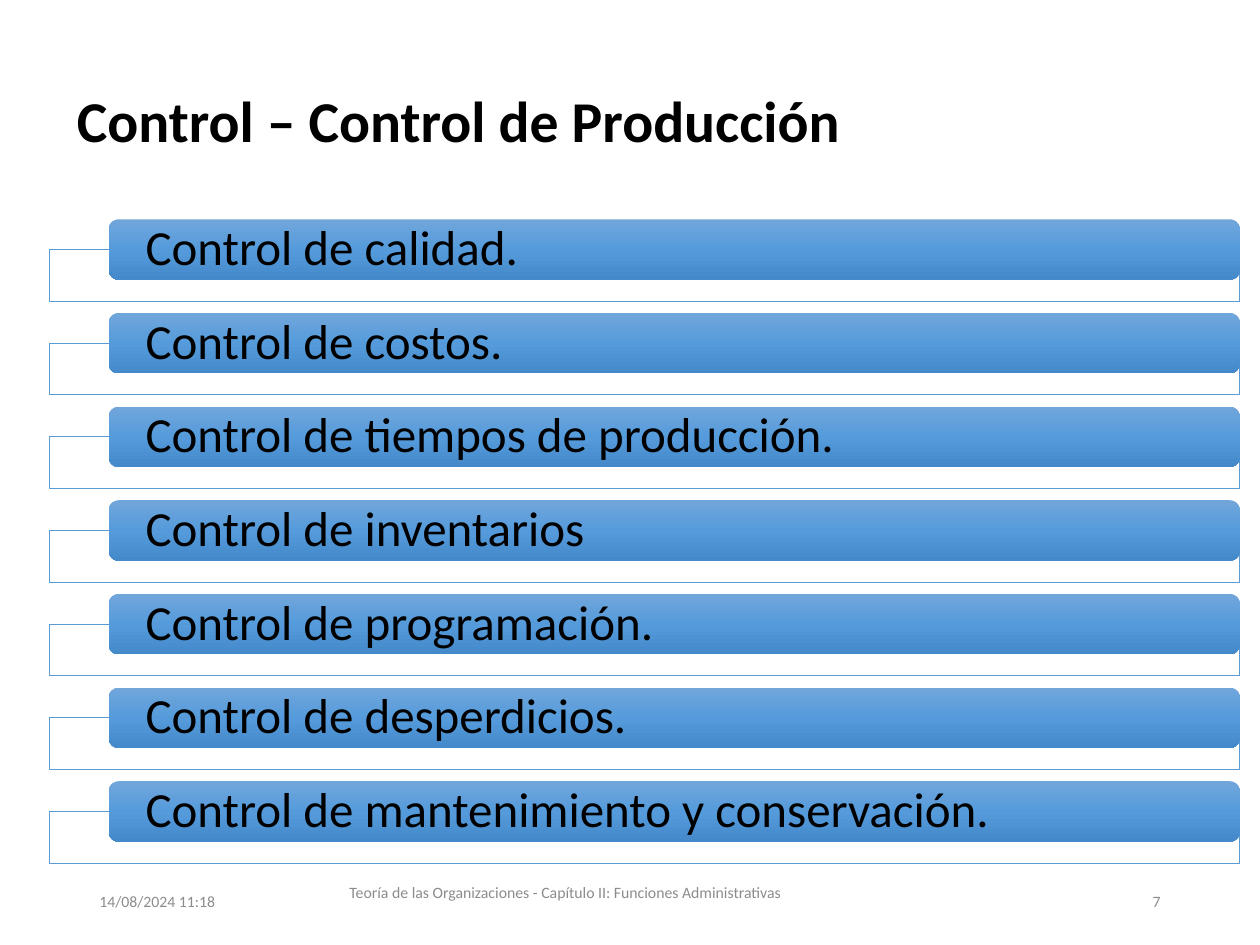
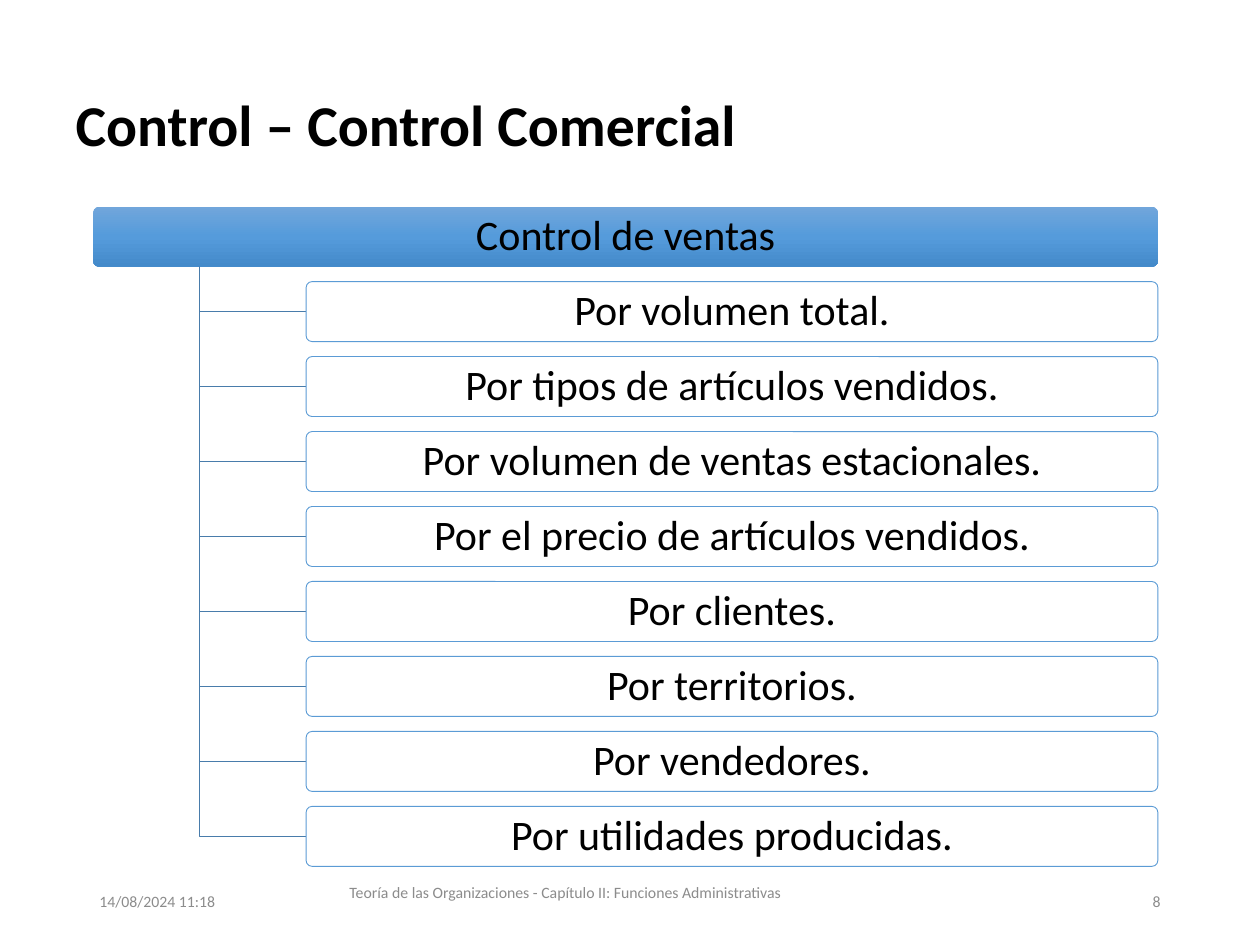
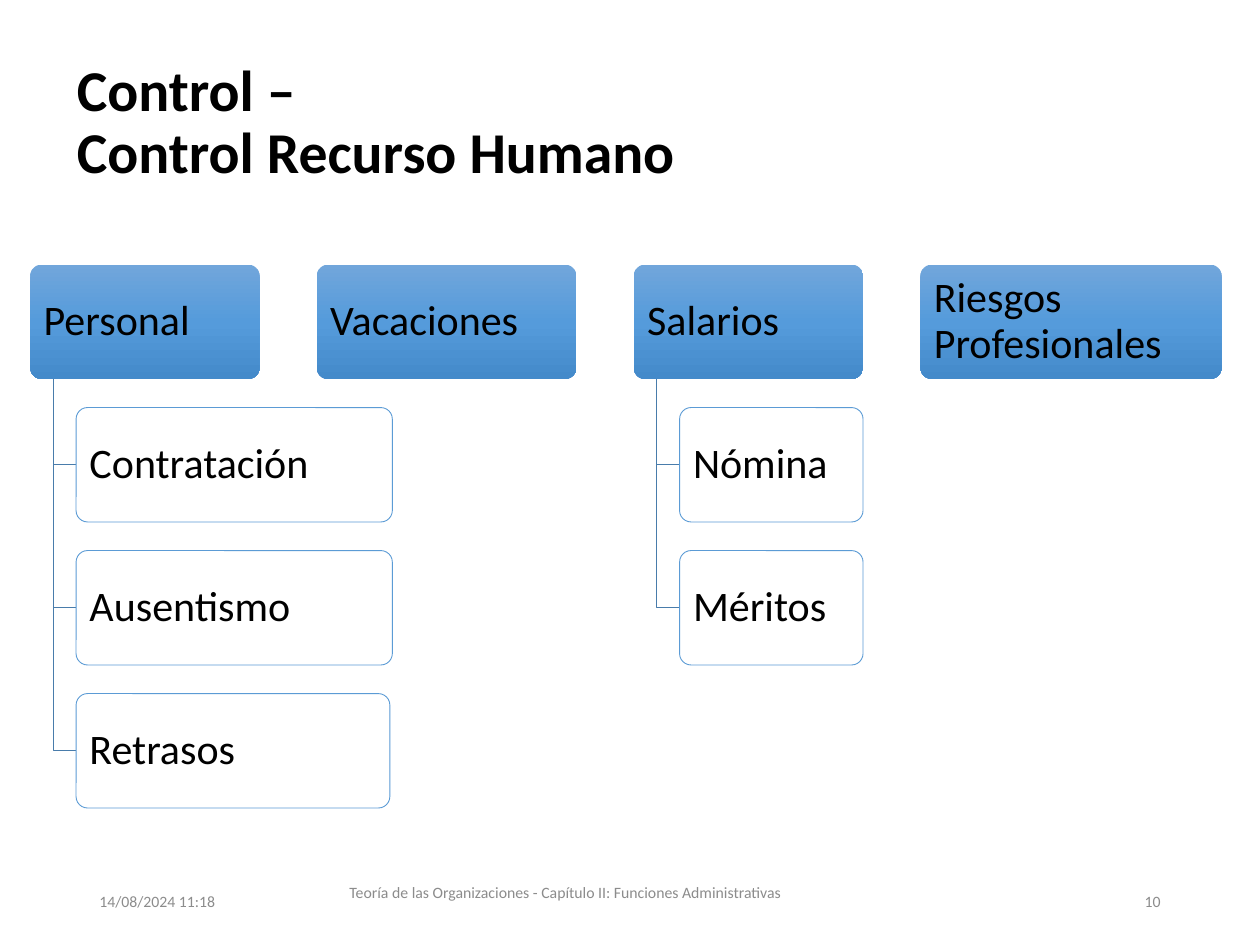
from collections import namedtuple
from copy import deepcopy

from lxml import etree
from pptx import Presentation
from pptx import util as u
from pptx.dml.color import RGBColor
from pptx.enum import shapes, text
from pptx.oxml.ns import qn

SLIDE_WIDTH, SLIDE_HEIGHT = u.Inches(10), u.Inches(7.5)
COLUMN, ROW = SLIDE_WIDTH / 100, SLIDE_HEIGHT / 75

BLACK = RGBColor(0x00, 0x00, 0x00)
WHITE = RGBColor(0xFF, 0xFF, 0xFF)
GRAY = RGBColor(0x8C, 0x8C, 0x8C)
OUTLINE = RGBColor(0x5B, 0x9B, 0xD5)
BRANCH = RGBColor(0x49, 0x7C, 0xAB)
GRADIENT = (
    RGBColor(0x71, 0xA6, 0xDB),
    RGBColor(0x55, 0x9B, 0xDB),
    RGBColor(0x44, 0x8A, 0xCA),
)
FONT = "Calibri"
LEFT, CENTER, RIGHT = text.PP_ALIGN.LEFT, text.PP_ALIGN.CENTER, text.PP_ALIGN.RIGHT
RECTANGLE = shapes.MSO_SHAPE.RECTANGLE
ROUNDED = shapes.MSO_SHAPE.ROUNDED_RECTANGLE

DATE = "14/08/2024 11:18"
COURSE = "Teoría de las Organizaciones - Capítulo II: Funciones Administrativas"

Box = namedtuple("Box", "left top width height")


def to_emu(box):
    return (
        round(box.left * COLUMN),
        round(box.top * ROW),
        round(box.width * COLUMN),
        round(box.height * ROW),
    )


def write(shape, lines, size, color, align=LEFT, bold=False, spacing=None, insets=(0.1, 0.05)):
    frame = shape.text_frame
    frame.word_wrap = True
    frame.auto_size = text.MSO_AUTO_SIZE.NONE
    frame.vertical_anchor = text.MSO_ANCHOR.MIDDLE
    frame.margin_left = frame.margin_right = u.Inches(insets[0])
    frame.margin_top = frame.margin_bottom = u.Inches(insets[1])
    paragraph = frame.paragraphs[0]
    paragraph.alignment = align
    paragraph.line_spacing = spacing
    for index, line in enumerate(lines):
        if index:
            paragraph.add_line_break()
        run = paragraph.add_run()
        run.text = line
        run.font.name = FONT
        run.font.size = u.Pt(size)
        run.font.bold = bold
        run.font.color.rgb = color


def outline(shape, color):
    shape.shadow.inherit = False
    shape.line.color.rgb = color
    shape.line.width = u.Pt(0.5)


def add_solid(slide, kind, box):
    shape = slide.shapes.add_shape(kind, *to_emu(box))
    outline(shape, OUTLINE)
    shape.fill.solid()
    shape.fill.fore_color.rgb = WHITE
    color = shape._element.spPr.find(qn("a:solidFill"))[0]
    etree.SubElement(color, qn("a:alpha"), val="90000")
    return shape


def add_gradient(slide, box):
    shape = slide.shapes.add_shape(ROUNDED, *to_emu(box))
    shape.shadow.inherit = False
    shape.line.fill.background()
    shape.fill.gradient()
    shape.fill.gradient_angle = 270
    stops = shape._element.spPr.find(qn("a:gradFill")).find(qn("a:gsLst"))
    stops.insert(1, deepcopy(stops[0]))
    for index, stop in enumerate(shape.fill.gradient_stops):
        stop.position = index / 2
        stop.color.rgb = GRADIENT[index]
    return shape


def add_branch(slide, trunk, top, end, middle):
    start, *corners = [
        (round(x * COLUMN), round(y * ROW))
        for x, y in ((trunk, top), (trunk, middle), (end, middle))
    ]
    builder = slide.shapes.build_freeform(*start)
    builder.add_line_segments(corners, close=False)
    branch = builder.convert_to_shape()
    branch.fill.background()
    outline(branch, BRANCH)


def add_footer(slide, number):
    for box, words, align in (
        (Box(6.9, 69.5, 22.5, 4), DATE, LEFT),
        (Box(18.7, 68.3, 52.3, 5), COURSE, CENTER),
        (Box(70.6, 69.5, 22.5, 4), number, RIGHT),
    ):
        write(slide.shapes.add_textbox(*to_emu(box)), [words], 9, GRAY, align)


def add_slide(presentation, title_lines, number, title_box=Box(5.1, 3.6, 90, 12.5)):
    slide = presentation.slides.add_slide(presentation.slide_layouts[5])
    title = slide.shapes.title
    title.left, title.top, title.width, title.height = to_emu(title_box)
    write(title, title_lines, 33, BLACK, bold=True, spacing=0.9)
    add_footer(slide, number)
    return slide


def add_bar_list(slide, box, items):
    bar_height = 4.8
    frame_height = 4.1
    pitch = (box.height - bar_height / 2 - frame_height) / (len(items) - 1)
    for index, item in enumerate(items):
        top = box.top + index * pitch
        add_solid(slide, RECTANGLE, Box(box.left, top + bar_height / 2, box.width, frame_height))
        bar = add_gradient(
            slide, Box(box.left + box.width * 0.05, top, box.width * 0.95, bar_height)
        )
        write(bar, [item], 28, BLACK, spacing=0.9, insets=(0.27, 0))


def add_tree(slide, head_box, head, children=(), child_widths=None, align=LEFT):
    def label(node, words):
        node.adjustments[0] = 0.1
        write(node, [words], 24, BLACK, align, spacing=0.9, insets=(0.08, 0.04))

    left, top, width, height = head_box
    child_left = left + width * 0.2
    widths = child_widths or [width * 0.8] * len(children)
    label(add_gradient(slide, head_box), head)
    for index, (child, child_width) in enumerate(zip(children, widths), 1):
        child_top = top + index * height * 1.25
        add_branch(slide, left + width * 0.1, top + height, child_left, child_top + height / 2)
        child_box = Box(child_left, child_top, child_width, height)
        label(add_solid(slide, ROUNDED, child_box), child)


def add_tree_row(slide, box, gap, trees):
    left = box.left
    for width, head, children, child_widths in trees:
        add_tree(slide, Box(left, box.top, width, box.height), head, children, child_widths)
        left += width + gap


def production_slide(presentation):
    slide = add_slide(presentation, ["Control – Control de Producción"], "7")
    add_bar_list(slide, Box(3.9, 17.4, 94.5, 51.1), (
        "Control de calidad.",
        "Control de costos.",
        "Control de tiempos de producción.",
        "Control de inventarios",
        "Control de programación.",
        "Control de desperdicios.",
        "Control de mantenimiento y conservación.",
    ))


def sales_slide(presentation):
    slide = add_slide(
        presentation, ["Control – Control Comercial"], "8", Box(5, 3.9, 90, 12.5)
    )
    add_tree(slide, Box(7.4, 16.4, 84.5, 4.76), "Control de ventas", (
        "Por volumen total.",
        "Por tipos de artículos vendidos.",
        "Por volumen de ventas estacionales.",
        "Por el precio de artículos vendidos.",
        "Por clientes.",
        "Por territorios.",
        "Por vendedores.",
        "Por utilidades producidas.",
    ), align=CENTER)


def staff_slide(presentation):
    slide = add_slide(presentation, ["Control – ", "Control Recurso Humano"], "10")
    add_tree_row(slide, Box(2.4, 21, 94.4, 9.08), 4.55, (
        (18.2, "Personal", ("Contratación", "Ausentismo", "Retrasos"), (25.1, 25.1, 24.9)),
        (20.6, "Vacaciones", (), None),
        (18.2, "Salarios", ("Nómina", "Méritos"), None),
        (23.9, "Riesgos Profesionales", (), None),
    ))


def main():
    presentation = Presentation()
    presentation.slide_width = SLIDE_WIDTH
    presentation.slide_height = SLIDE_HEIGHT
    production_slide(presentation)
    sales_slide(presentation)
    staff_slide(presentation)
    presentation.save("out.pptx")


if __name__ == "__main__":
    main()
